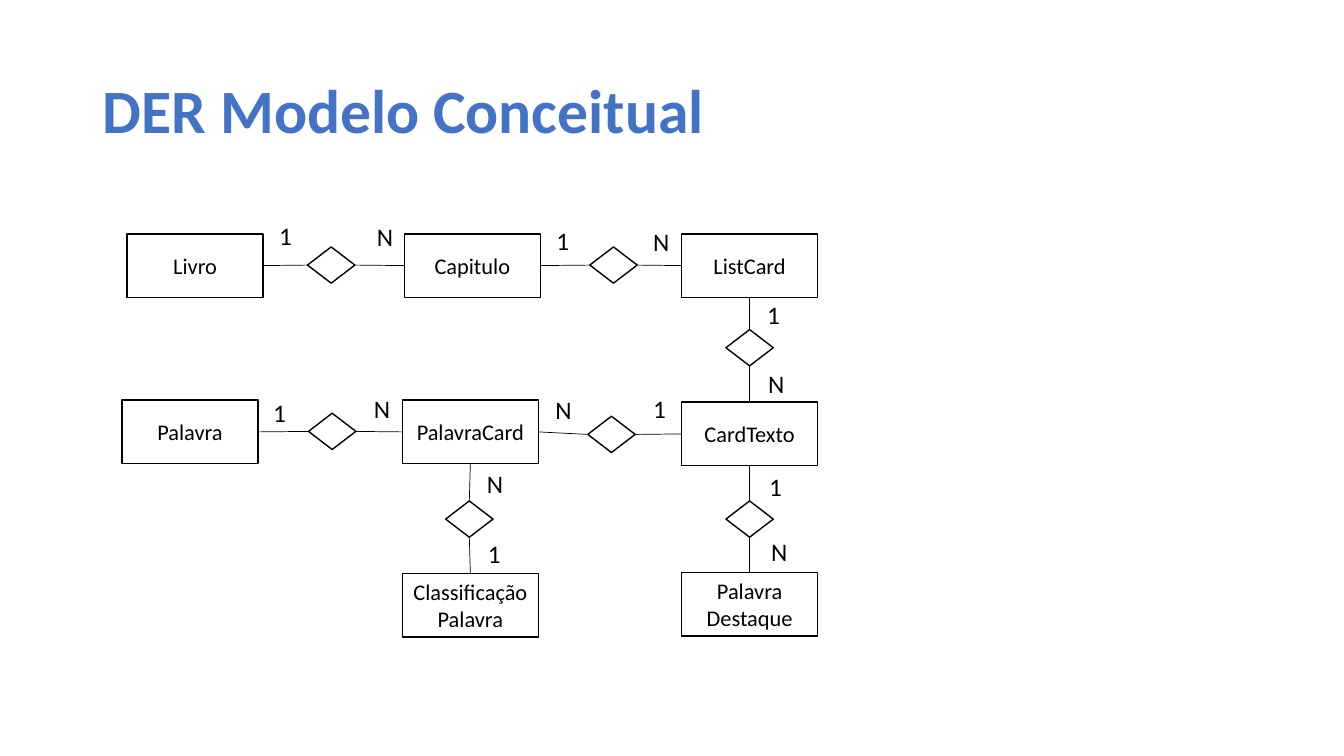
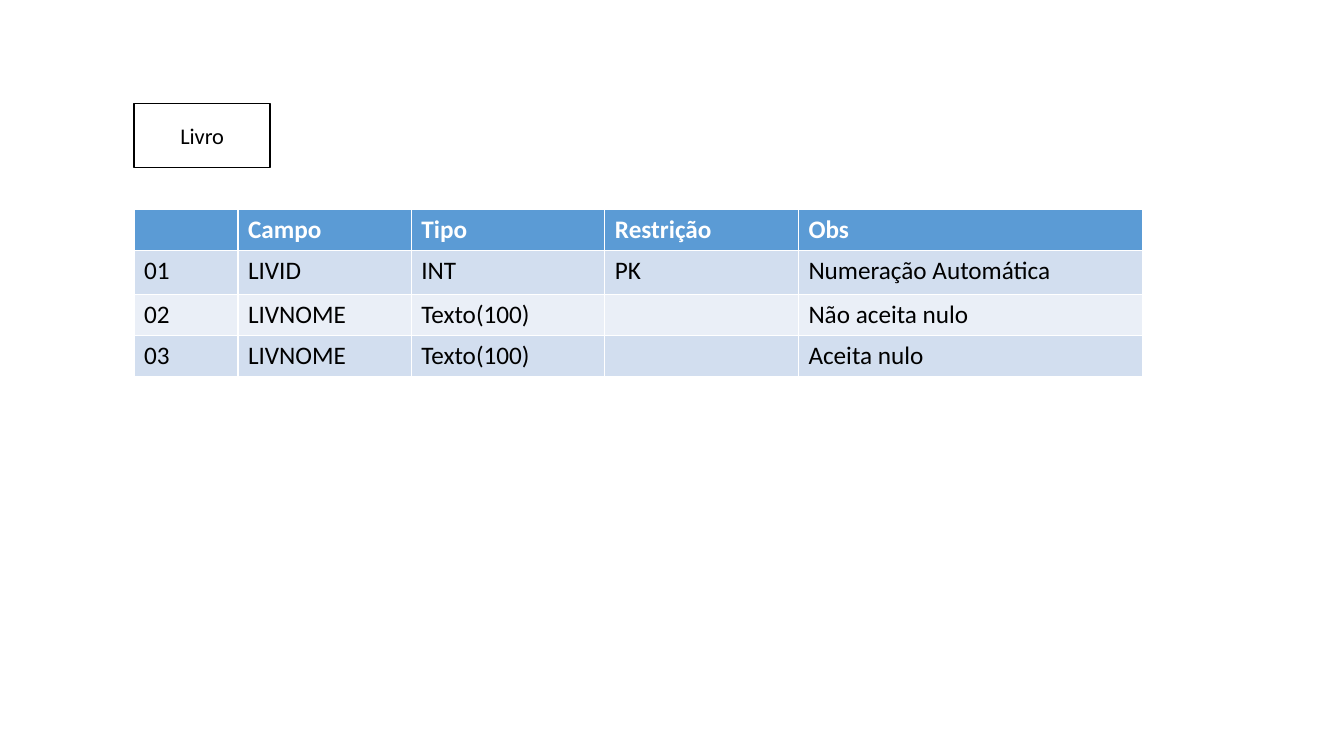
"""Build the conceptual data model and the Livro field table as two slides."""
from dataclasses import dataclass

from lxml import etree
from pptx import Presentation
from pptx.dml.color import RGBColor
from pptx.enum.shapes import MSO_CONNECTOR, MSO_SHAPE
from pptx.enum.text import MSO_ANCHOR, PP_ALIGN
from pptx.oxml.ns import qn
from pptx.util import Inches, Pt

RECTANGLE, DIAMOND = MSO_SHAPE.RECTANGLE, MSO_SHAPE.DIAMOND
STRAIGHT = MSO_CONNECTOR.STRAIGHT
MIDDLE = MSO_ANCHOR.MIDDLE
LEFT, CENTER = PP_ALIGN.LEFT, PP_ALIGN.CENTER
TOP_SIDE, LEFT_SIDE, BOTTOM_SIDE, RIGHT_SIDE = range(4)
ACROSS, DOWN = (RIGHT_SIDE, LEFT_SIDE), (BOTTOM_SIDE, TOP_SIDE)
TITLE_ONLY, BLANK = 5, 6

HEADING = "DER Modelo Conceitual"
ENTITIES = {
    "Livro": (1.26, 2.32),
    "Capitulo": (4.01, 2.32),
    "ListCard": (6.76, 2.32),
    "Palavra": (1.21, 3.97),
    "PalavraCard": (3.99, 3.97),
    "CardTexto": (6.76, 3.99),
    "Classificação Palavra": (3.99, 5.69),
    "Palavra Destaque": (6.76, 5.68),
}
RELATIONS = [
    ("Livro", "Capitulo", ACROSS, (3.05, 2.45),
     [("1", 2.67, 2.14), ("N", 3.64, 2.15)]),
    ("Capitulo", "ListCard", ACROSS, (5.85, 2.45),
     [("1", 5.42, 2.19), ("N", 6.38, 2.2)]),
    ("ListCard", "CardTexto", DOWN, (7.2, 3.27),
     [("1", 7.51, 2.92), ("N", 7.52, 3.61)]),
    ("Palavra", "PalavraCard", ACROSS, (3.06, 4.1),
     [("1", 2.61, 3.89), ("N", 3.61, 3.85)]),
    ("PalavraCard", "CardTexto", ACROSS, (5.83, 4.13),
     [("N", 5.41, 3.86), ("1", 6.38, 3.85)]),
    ("PalavraCard", "Classificação Palavra", DOWN, (4.42, 4.97),
     [("N", 4.73, 4.6), ("1", 4.74, 5.29)]),
    ("CardTexto", "Palavra Destaque", DOWN, (7.2, 4.97),
     [("1", 7.53, 4.63), ("N", 7.55, 5.27)]),
]
FIELDS = [
    ("", "Campo", "Tipo", "Restrição", "Obs"),
    ("01", "LIVID", "INT", "PK", "Numeração Automática"),
    ("02", "LIVNOME", "Texto(100)", "", "Não aceita nulo"),
    ("03", "LIVNOME", "Texto(100)", "", "Aceita nulo"),
]

SLIDE_SIZE = (13.33, 7.5)
HEADING_BOX = (0.92, 0.4, 11.5, 1.45)
ENTITY_SIZE, DIAMOND_SIZE, MARK_SIZE = (1.35, 0.63), (0.47, 0.36), (0.32, 0.4)
TABLE_LEFT, TABLE_TOP, TABLE_ENTITY_TOP = 1.33, 2.08, 1.03
COLUMN_WIDTHS = (1.03, 1.72, 1.92, 1.92, 3.41)
ROW_HEIGHTS = (0.4, 0.44, 0.4, 0.4)


@dataclass(frozen=True)
class Theme:
    """Colours, line widths and text formats of the deck."""
    font = "Calibri"
    ink = RGBColor.from_string("000000")
    paper = RGBColor.from_string("FFFFFF")
    accent = RGBColor.from_string("4472C4")
    header = RGBColor.from_string("5B9BD5")
    bands = (RGBColor.from_string("EAEFF7"), RGBColor.from_string("D2DEEF"))
    outline, link = Pt(1), Pt(0.5)
    heading_text = {"size": Pt(44), "bold": True}
    entity_text = {"size": Pt(16), "bold": False}
    plain_text = {"size": Pt(18), "bold": False}
    header_text = {"size": Pt(18), "bold": True}


THEME = Theme()


def inches(*lengths):
    """Convert plain numbers to slide lengths."""
    return [Inches(length) for length in lengths]


def write(frame, text, style, color=THEME.ink, align=LEFT):
    """Put one formatted run into a text frame."""
    paragraph = frame.paragraphs[0]
    paragraph.alignment = align
    run = paragraph.add_run()
    run.text = text
    for attribute, value in {"name": THEME.font, **style}.items():
        setattr(run.font, attribute, value)
    run.font.color.rgb = color
    return paragraph


def add_outlined(slide, preset, place, size):
    """Add a white shape with a thin black outline."""
    node = slide.shapes.add_shape(preset, *inches(*place, *size))
    node.shadow.inherit = False
    node.fill.solid()
    node.fill.fore_color.rgb = THEME.paper
    node.line.color.rgb = THEME.ink
    node.line.width = THEME.outline
    return node


def add_entity(slide, label, place):
    """Add a labelled entity box."""
    entity = add_outlined(slide, RECTANGLE, place, ENTITY_SIZE)
    frame = entity.text_frame
    frame.word_wrap = True
    frame.vertical_anchor = MIDDLE
    write(frame, label, THEME.entity_text, align=CENTER)
    return entity


def add_link(slide, source, target, sides):
    """Glue a line to the facing sides of two shapes."""
    link = slide.shapes.add_connector(STRAIGHT, 0, 0, 0, 0)
    link.begin_connect(source, sides[0])
    link.end_connect(target, sides[1])
    link.line.color.rgb = THEME.ink
    link.line.width = THEME.link
    etree.SubElement(link._element.spPr, qn("a:effectLst"))


def build_model(deck):
    """Draw the entities, their relations and cardinalities."""
    slide = deck.slides.add_slide(deck.slide_layouts[TITLE_ONLY])
    heading = slide.shapes.title
    heading.left, heading.top, heading.width, heading.height = inches(*HEADING_BOX)
    heading.text_frame.vertical_anchor = MIDDLE
    write(heading.text_frame, HEADING, THEME.heading_text, THEME.accent).line_spacing = 0.9
    entities = {label: add_entity(slide, label, place) for label, place in ENTITIES.items()}
    for source, target, sides, place, marks in RELATIONS:
        relation = add_outlined(slide, DIAMOND, place, DIAMOND_SIZE)
        add_link(slide, entities[source], relation, sides)
        add_link(slide, relation, entities[target], sides)
        for cardinality, *corner in marks:
            mark = slide.shapes.add_textbox(*inches(*corner, *MARK_SIZE)).text_frame
            mark.word_wrap = True
            write(mark, cardinality, THEME.plain_text)


def build_fields(deck):
    """Draw the Livro entity above its field table."""
    slide = deck.slides.add_slide(deck.slide_layouts[BLANK])
    add_entity(slide, "Livro", (TABLE_LEFT, TABLE_ENTITY_TOP))
    table = slide.shapes.add_table(
        len(FIELDS), len(COLUMN_WIDTHS),
        *inches(TABLE_LEFT, TABLE_TOP, sum(COLUMN_WIDTHS), sum(ROW_HEIGHTS))).table
    for column, width in zip(table.columns, COLUMN_WIDTHS):
        column.width = Inches(width)
    for number, (row, height, fields) in enumerate(zip(table.rows, ROW_HEIGHTS, FIELDS)):
        row.height = Inches(height)
        if number == 0:
            fill, style, color = THEME.header, THEME.header_text, THEME.paper
        else:
            fill, style, color = THEME.bands[number % 2], THEME.plain_text, THEME.ink
        for cell, field in zip(row.cells, fields):
            cell.fill.solid()
            cell.fill.fore_color.rgb = fill
            if field:
                write(cell.text_frame, field, style, color)


def main():
    """Build and save the deck."""
    deck = Presentation()
    deck.slide_width, deck.slide_height = inches(*SLIDE_SIZE)
    build_model(deck)
    build_fields(deck)
    deck.save("out.pptx")


main()
